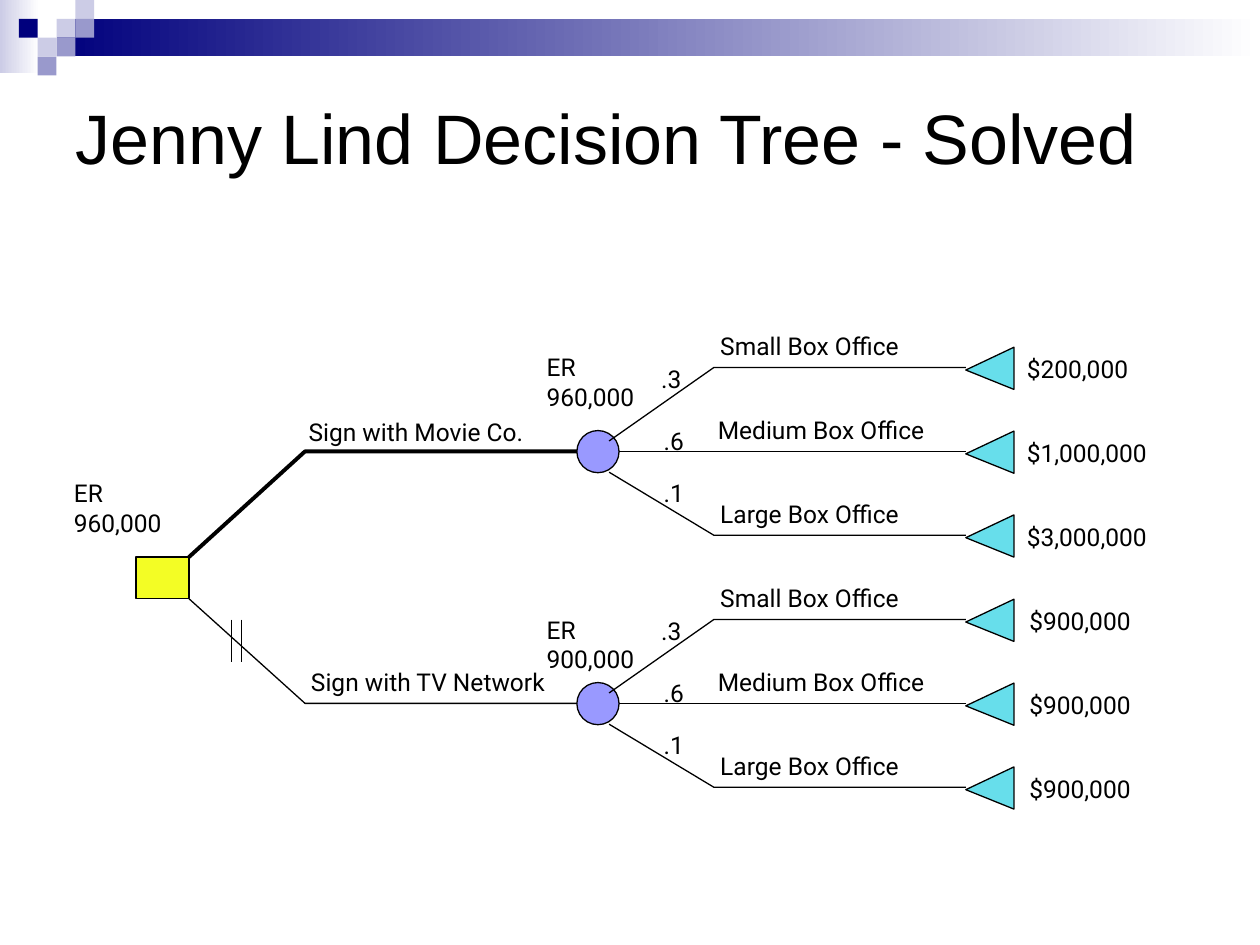
from lxml import etree
from pptx import Presentation
from pptx import util as u
from pptx.dml.color import RGBColor
from pptx.enum import shapes, text
from pptx.oxml import ns

KIND = shapes.MSO_SHAPE
BLACK = "000000"


def colour(hex_code):
    return RGBColor.from_string(hex_code)


class TreeSlide:
    body_font = "Roboto"
    body_size = 14
    thin = 0.75
    thick = 2.25

    def __init__(self, slide):
        self.slide = slide

    def outline(self, line, weight):
        line.color.rgb = colour(BLACK)
        line.width = u.Pt(weight)

    def block(self, kind, left, top, width, height):
        block = self.slide.shapes.add_shape(
            kind, u.Cm(left), u.Cm(top), u.Cm(width), u.Cm(height))
        block.shadow.inherit = False
        block.line.fill.background()
        return block

    def square(self, fill, left, top, size):
        square = self.block(KIND.RECTANGLE, left, top, size, size)
        square.fill.solid()
        square.fill.fore_color.rgb = colour(fill)

    def fade(self, start, end, left, top, width, height):
        band = self.block(KIND.RECTANGLE, left, top, width, height)
        band.fill.gradient()
        band.fill.gradient_angle = 0
        for stop, shade in zip(band.fill.gradient_stops, (start, end)):
            stop.color.rgb = colour(shade)

    def node(self, kind, fill, left, top, width, height):
        node = self.block(kind, left, top, width, height)
        node.fill.solid()
        node.fill.fore_color.rgb = colour(fill)
        self.outline(node.line, self.thin)
        return node

    def payoff_marker(self, left, top):
        marker = self.node(KIND.ISOSCELES_TRIANGLE, "67DEEB", left, top, 0.85, 0.97)
        marker.rotation = 270
        marker.adjustments[0] = 0.46

    def branch(self, points, weight=thin):
        start, *rest = [(u.Cm(x), u.Cm(y)) for x, y in points]
        builder = self.slide.shapes.build_freeform(*start, scale=1.0)
        builder.add_line_segments(rest, close=False)
        branch = builder.convert_to_shape()
        branch.shadow.inherit = False
        branch.fill.background()
        self.outline(branch.line, weight)

    def straight(self, x1, y1, x2, y2):
        straight = self.slide.shapes.add_connector(
            shapes.MSO_CONNECTOR.STRAIGHT, u.Cm(x1), u.Cm(y1), u.Cm(x2), u.Cm(y2))
        self.outline(straight.line, self.thin)
        etree.SubElement(straight._element.spPr, ns.qn("a:effectLst"))

    def label(self, lines, left, top, width, height=0.86, font=body_font,
              size=body_size, wrap=False, anchor=text.MSO_ANCHOR.TOP):
        label = self.slide.shapes.add_textbox(
            u.Cm(left), u.Cm(top), u.Cm(width), u.Cm(height))
        frame = label.text_frame
        frame.word_wrap = wrap
        frame.vertical_anchor = anchor
        for index, line in enumerate(lines):
            paragraph = frame.add_paragraph() if index else frame.paragraphs[0]
            run = paragraph.add_run()
            run.text = line
            run.font.name = font
            run.font.size = u.Pt(size)
            run.font.color.rgb = colour(BLACK)

    def expected_return(self, amount, left, top):
        self.label(["ER", amount], left, top, 2.34, 1.45)

    def header(self):
        unit = 0.38
        self.fade("CCCCE6", "FFFFFF", 0, 0, 0.79, 1.47)
        self.fade("00007D", "FFFFFF", 1.14, unit, 24.26, 0.76)
        for fill, column, row in (
                ("CCCCE6", 3, 1), ("CCCCE6", 4, 0), ("9999CC", 4, 1),
                ("CCCCE6", 2, 2), ("00007D", 1, 1), ("9999CC", 3, 2),
                ("9999CC", 2, 3)):
            self.square(fill, column * unit, row * unit, unit)

    def chance_fan(self, centre, payoffs, payoff_left):
        self.node(KIND.OVAL, "9999FF", 11.63, centre - 0.42, 0.85, 0.85)
        upper, lower = centre - 1.69, centre + 1.69
        self.branch([(12.28, centre - 0.21), (14.39, upper), (19.47, upper)])
        self.branch([(12.28, centre + 0.42), (14.39, lower), (19.47, lower)])
        self.straight(19.47, centre, 12.48, centre)
        outcomes = (
            ("Small Box Office", 14.27, 4.29, upper, ".3", 13.08, -1.89),
            ("Medium Box Office", 14.22, 4.95, centre, ".6", 13.13, -0.64),
            ("Large Box Office", 14.27, 4.34, lower, ".1", 13.13, 0.42))
        for outcome, payoff in zip(outcomes, payoffs):
            name, left, width, level, chance, chance_left, chance_shift = outcome
            self.payoff_marker(19.53, level - 0.47)
            self.label([name], left, level - 0.86, width)
            self.label([payoff], payoff_left, level - 0.4, 3.02)
            self.label([chance], chance_left, centre + chance_shift, 0.91)


def main():
    deck = Presentation()
    deck.slide_width, deck.slide_height = u.Cm(25.4), u.Cm(19.05)
    tree = TreeSlide(deck.slides.add_slide(deck.slide_layouts[6]))

    tree.header()
    tree.label(["Jenny Lind Decision Tree - Solved"], 1.27, 1.27, 22.86, 2.97,
               font="Arial", size=40, wrap=True, anchor=text.MSO_ANCHOR.MIDDLE)

    movie, network = 9.1, 14.18
    tree.node(KIND.RECTANGLE, "F3FD25", 2.74, 11.23, 1.07, 0.84)
    tree.chance_fan(movie, ("$200,000", "$1,000,000", "$3,000,000"), 20.45)
    tree.chance_fan(network, ("$900,000",) * 3, 20.5)

    tree.branch([(3.81, 11.23), (6.15, movie), (11.63, movie)], tree.thick)
    tree.branch([(11.63, network), (6.15, network), (3.81, 12.07)])
    tree.label(["Sign with Movie Co."], 5.97, movie - 0.82, 5.05)
    tree.label(["Sign with TV Network"], 6.02, network - 0.85, 5.46)

    tree.expected_return("900,000", 10.77, 12.27)
    tree.expected_return("960,000", 10.77, 6.98)
    tree.expected_return("960,000", 1.24, 9.52)
    for cut in (4.66, 4.87):
        tree.straight(cut, 12.49, cut, 13.34)

    deck.save("out.pptx")


if __name__ == "__main__":
    main()
